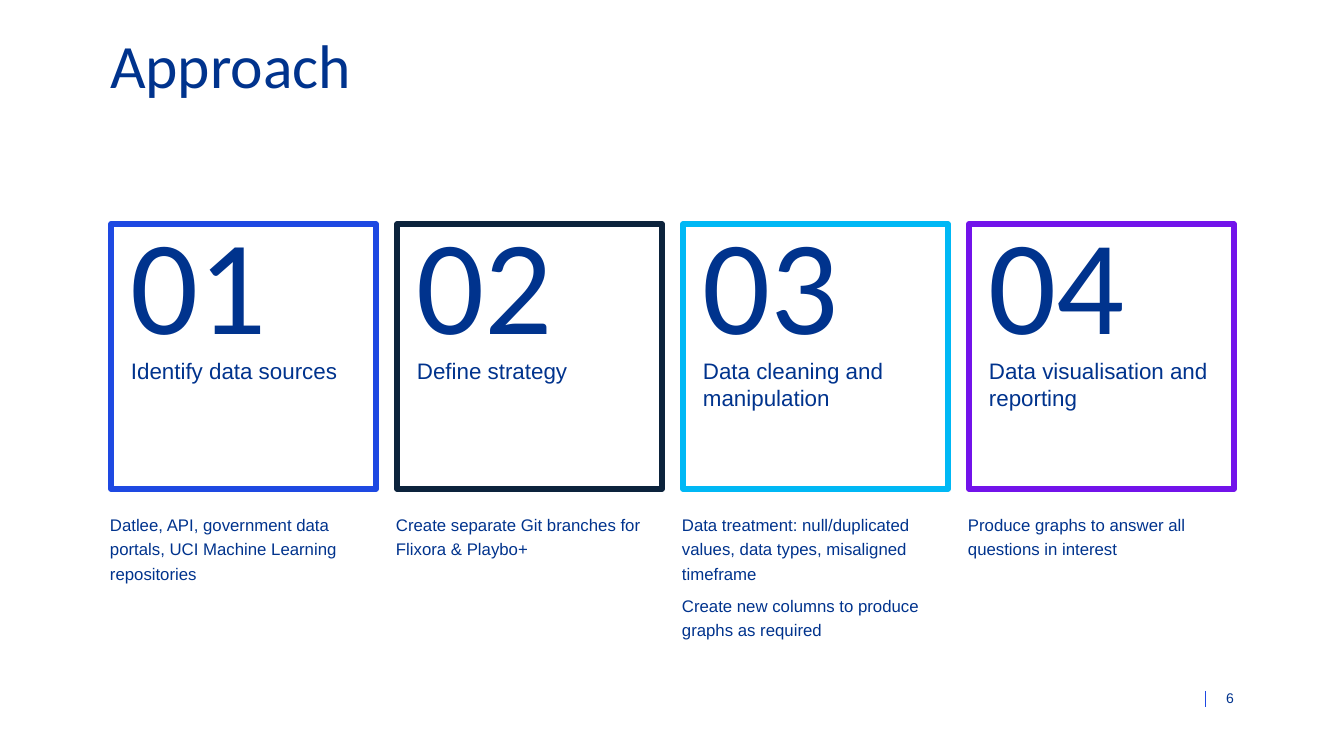
from lxml import etree
from pptx import Presentation
from pptx import util as u
from pptx.dml.color import RGBColor
from pptx.enum import shapes, text
from pptx.oxml.ns import qn

EMU_PER_PX = 914400 / 100.8
COLORS = {
    "text": "00338D",
    "blue": "1E49E2",
    "navy": "0C233C",
    "cyan": "00B8F5",
    "purple": "7213EA",
}
STEPS = [
    ("Identify data sources", "blue",
     ["Datlee, API, government data portals, UCI Machine Learning repositories"]),
    ("Define strategy", "navy",
     ["Create separate Git branches for Flixora & Playbo+"]),
    ("Data cleaning and manipulation", "cyan",
     ["Data treatment: null/duplicated values, data types, misaligned timeframe",
      "Create new columns to produce graphs as required"]),
    ("Data visualisation and reporting", "purple",
     ["Produce graphs to answer all questions in interest"]),
]
STEP_LEFT, STEP_TOP, STEP_SIZE, STEP_PITCH = 111, 224, 265, 286
DETAIL_TOP = 511


def px(length):
    return u.Emu(round(length * EMU_PER_PX))


def color(name):
    return RGBColor.from_string(COLORS[name])


def prepare_frame(frame, inset=0, anchor=text.MSO_ANCHOR.TOP):
    frame.word_wrap = True
    frame.auto_size = text.MSO_AUTO_SIZE.NONE
    frame.vertical_anchor = anchor
    frame.margin_left = frame.margin_right = px(inset)
    frame.margin_top = frame.margin_bottom = px(inset)


def write(paragraph, words, size, font="Arial", spacing=1.0, after=0,
          align=text.PP_ALIGN.LEFT):
    paragraph.text = words
    paragraph.alignment = align
    paragraph.line_spacing = spacing
    paragraph.space_before = u.Pt(0)
    paragraph.space_after = u.Pt(after)
    paragraph.font.size = u.Pt(size)
    paragraph.font.name = font
    paragraph.font.color.rgb = color("text")


def add_title(slide, words):
    title = slide.shapes.title
    title.left, title.top, title.width, title.height = map(px, (110, 47, 1124, 58))
    prepare_frame(title.text_frame)
    write(title.text_frame.paragraphs[0], words, 44, font="Calibri", spacing=0.7)


def add_step_box(slide, left, number, heading, outline):
    box = slide.shapes.add_shape(shapes.MSO_SHAPE.RECTANGLE, px(left), px(STEP_TOP),
                                 px(STEP_SIZE), px(STEP_SIZE))
    box.shadow.inherit = False
    box.fill.background()
    box.line.color.rgb = color(outline)
    box.line.width = u.Pt(4)
    frame = box.text_frame
    prepare_frame(frame, inset=20)
    write(frame.paragraphs[0], f"{number:02d}", 96, font="Calibri", spacing=0.7)
    write(frame.add_paragraph(), heading, 16)


def add_details(slide, left, details):
    box = slide.shapes.add_textbox(px(left), px(DETAIL_TOP), px(STEP_SIZE), px(128))
    frame = box.text_frame
    prepare_frame(frame)
    for index, detail in enumerate(details):
        paragraph = frame.add_paragraph() if index else frame.paragraphs[0]
        write(paragraph, detail, 12, spacing=1.2, after=6)


def add_page_number(slide, number):
    page = slide.shapes.add_textbox(px(1207), px(690), px(27), px(16))
    prepare_frame(page.text_frame, anchor=text.MSO_ANCHOR.BOTTOM)
    write(page.text_frame.paragraphs[0], number, 10, align=text.PP_ALIGN.RIGHT)
    divider = slide.shapes.add_connector(shapes.MSO_CONNECTOR.STRAIGHT,
                                         px(1205), px(691), px(1205), px(707))
    divider.line.color.rgb = color("blue")
    divider.line.width = u.Pt(0.5)
    etree.SubElement(divider.line._get_or_add_ln().getparent(), qn("a:effectLst"))


def main():
    deck = Presentation()
    deck.slide_width, deck.slide_height = px(1344), px(756)
    slide = deck.slides.add_slide(deck.slide_layouts.get_by_name("Title Only"))

    # Heading
    add_title(slide, "Approach")

    # Four numbered steps with details below
    for index, (heading, outline, details) in enumerate(STEPS):
        left = STEP_LEFT + index * STEP_PITCH
        add_step_box(slide, left, index + 1, heading, outline)
        add_details(slide, left - 1, details)

    # Page number
    add_page_number(slide, "6")
    deck.save("out.pptx")


if __name__ == "__main__":
    main()
